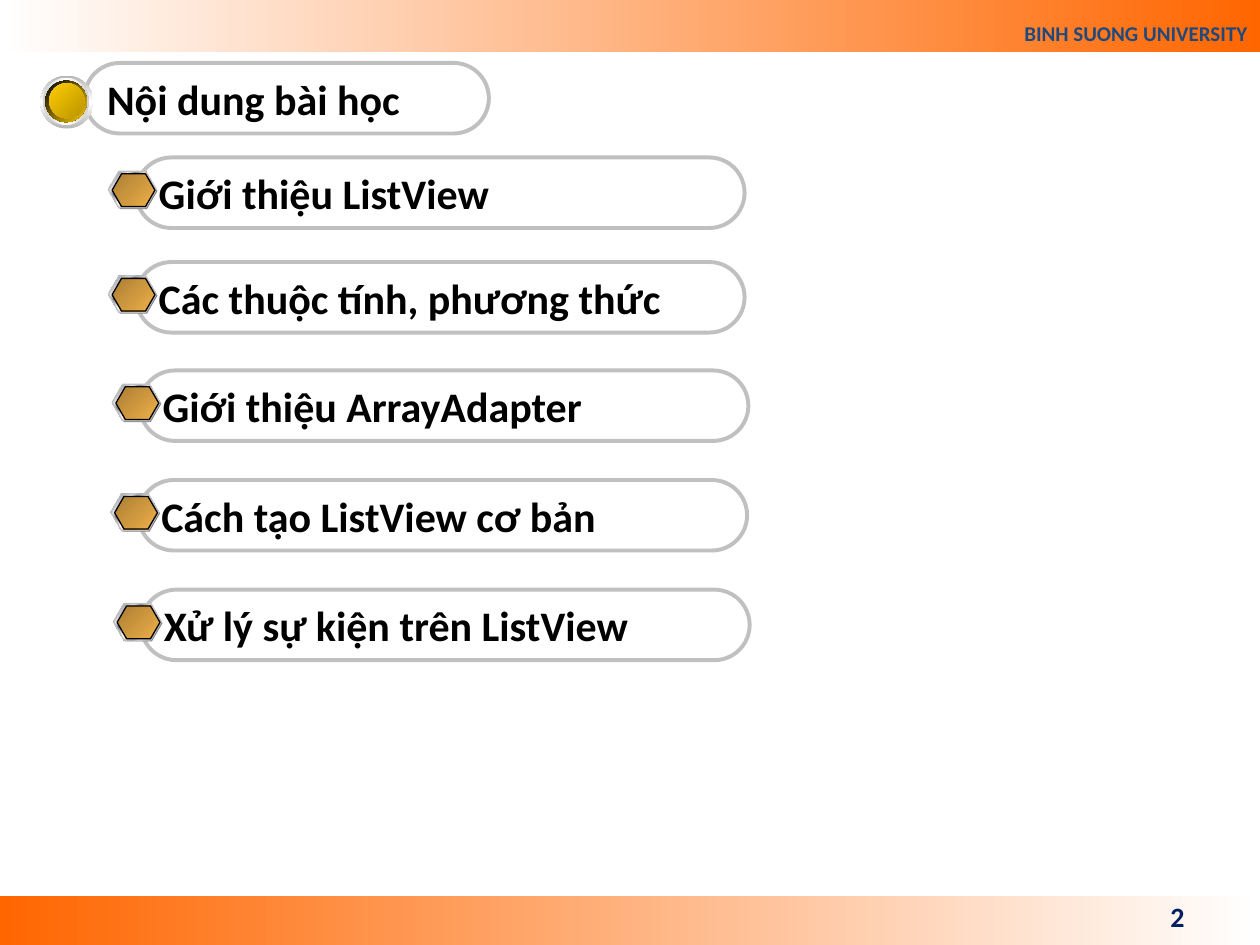
from lxml import etree
from pptx import Presentation
from pptx import util as u
from pptx.dml.color import RGBColor
from pptx.enum import shapes, text
from pptx.oxml import ns

KIND = shapes.MSO_SHAPE
BAND = [(0, "FFFFFF"), (100, "FF6600")]
STEEL = list(zip(
    (0, 7, 26, 34, 46, 50, 54, 66, 74, 93, 100),
    ("E6E6E6", "7D8496", "E6E6E6", "7D8496", "E6E6E6", "FFFFFF",
     "E6E6E6", "7D8496", "E6E6E6", "7D8496", "E6E6E6")))
BRONZE = [(0, "AB7E34"), (100, "EFB049")]
RINGS = [
    (0.32, 0.60, 0.42, 90, [(0, "B6B6B6"), (50, "FFFFFF"), (100, "B6B6B6")]),
    (0.34, 0.62, 0.37, 0, [(0, "D1D1D1"), (50, "FFFFFF"), (100, "D1D1D1")]),
    (0.36, 0.64, 0.33, 45, [(0, "FFFFFF"), (50, "6699FF"), (100, "FFFFFF")]),
    (0.36, 0.64, 0.33, 45, [(0, "000000"), (100, "FFCC00")]),
    (0.39, 0.66, 0.28, 315, [(0, "4E75C3"), (50, "6699FF"), (100, "4E75C3")]),
    (0.39, 0.66, 0.28, 45, [(0, "FFCC00"), (100, "BA9500")]),
]
TOPICS = [
    (1.08, 1.25, "Giới thiệu ListView"),
    (1.08, 2.08, "Các thuộc tính, phương thức"),
    (1.11, 2.94, "Giới thiệu ArrayAdapter"),
    (1.10, 3.81, "Cách tạo ListView cơ bản"),
    (1.12, 4.68, "Xử lý sự kiện trên ListView"),
]


def tint(code):
    return RGBColor.from_string(code)


class Deck:
    font = "Calibri"
    ink = "000000"
    edge = "C0C0C0"

    def __init__(self):
        self.show = Presentation()
        self.show.slide_width = u.Inches(10)
        self.show.slide_height = u.Inches(7.5)
        self.slide = self.show.slides.add_slide(self.show.slide_layouts[5])

    def label(self, shape, words, size, color, align=text.PP_ALIGN.LEFT,
              anchor=text.MSO_ANCHOR.MIDDLE):
        frame = shape.text_frame
        frame.word_wrap = True
        frame.auto_size = text.MSO_AUTO_SIZE.NONE
        frame.vertical_anchor = anchor
        para = frame.paragraphs[0]
        para.alignment = align
        run = para.add_run()
        run.text = words
        run.font.name = self.font
        run.font.size = u.Pt(size)
        run.font.bold = True
        run.font.color.rgb = tint(color)
        return para

    def blend(self, shape, stops, angle):
        shape.fill.gradient()
        shape.fill.gradient_angle = -angle % 360
        holder = shape.element.spPr.find(".//" + ns.qn("a:gsLst"))
        for old in list(holder):
            holder.remove(old)
        for place, color in stops:
            stop = etree.SubElement(holder, ns.qn("a:gs"), pos=str(place * 1000))
            etree.SubElement(stop, ns.qn("a:srgbClr"), val=color)

    def form(self, home, kind, box, fill=None, angle=0, line=None, width=0.75):
        shape = home.add_shape(kind, *map(u.Inches, box))
        shape.shadow.inherit = False
        if fill is None:
            shape.fill.background()
        elif isinstance(fill, str):
            shape.fill.solid()
            shape.fill.fore_color.rgb = tint(fill)
        else:
            self.blend(shape, fill, angle)
        if line:
            shape.line.color.rgb = tint(line)
            shape.line.width = u.Pt(width)
        else:
            shape.line.fill.background()
        return shape

    def group(self):
        return self.slide.shapes.add_group_shape().shapes

    def band(self, top, height, stops):
        return self.form(self.slide.shapes, KIND.RECTANGLE,
                         (0, top, 10, height), stops)

    def pill(self, home, left, top, width):
        shape = self.form(home, KIND.ROUNDED_RECTANGLE,
                          (left, top, width, 0.56), line=self.edge, width=2.25)
        shape.adjustments[0] = 0.5
        return shape

    def title(self, left, top, width, words):
        self.pill(self.slide.shapes, left, top, width)
        shape = self.slide.shapes.title
        shape.left, shape.top = u.Inches(left), u.Inches(top)
        shape.width, shape.height = u.Inches(width), u.Inches(0.56)
        self.label(shape, words, 24, self.ink)
        shape.text_frame.margin_left = u.Inches(0.18)

    def badge(self):
        home = self.group()
        for left, top, size, angle, stops in RINGS:
            self.form(home, KIND.OVAL, (left, top, size, size), stops, angle)

    def topic(self, left, top, words):
        home = self.group()
        self.label(self.pill(home, left, top, 4.83), words, 24, self.ink)
        layers = [
            (-0.21, 0.12, 0.38, 0.29, "808080", None),
            (-0.22, 0.11, 0.38, 0.29, STEEL, self.edge),
            (-0.19, 0.13, 0.34, 0.26, BRONZE, self.ink),
        ]
        for dx, dy, width, height, fill, line in layers:
            gem = self.form(home, KIND.HEXAGON,
                            (left + dx, top + dy, width, height), fill, 45, line)
            gem.adjustments[0] = 0.289

    def number(self, words):
        box = self.slide.shapes.add_textbox(
            *map(u.Inches, (7.17, 7.07, 2.33, 0.4)))
        self.label(box, words, 16, "002060", text.PP_ALIGN.RIGHT)


def main():
    deck = Deck()
    deck.band(7.11, 0.39, BAND[:1] and [(0, "FF6600"), (100, "FFFFFF")])
    head = deck.band(-0.01, 0.42, BAND)
    para = deck.label(head, "BINH SUONG UNIVERSITY", 12, "1F497D",
                      text.PP_ALIGN.RIGHT, text.MSO_ANCHOR.BOTTOM)
    para.line_spacing = 1.8
    deck.number("2")
    deck.title(0.67, 0.5, 3.21, "Nội dung bài học")
    deck.badge()
    for left, top, words in TOPICS:
        deck.topic(left, top, words)
    deck.show.save("out.pptx")


if __name__ == "__main__":
    main()
